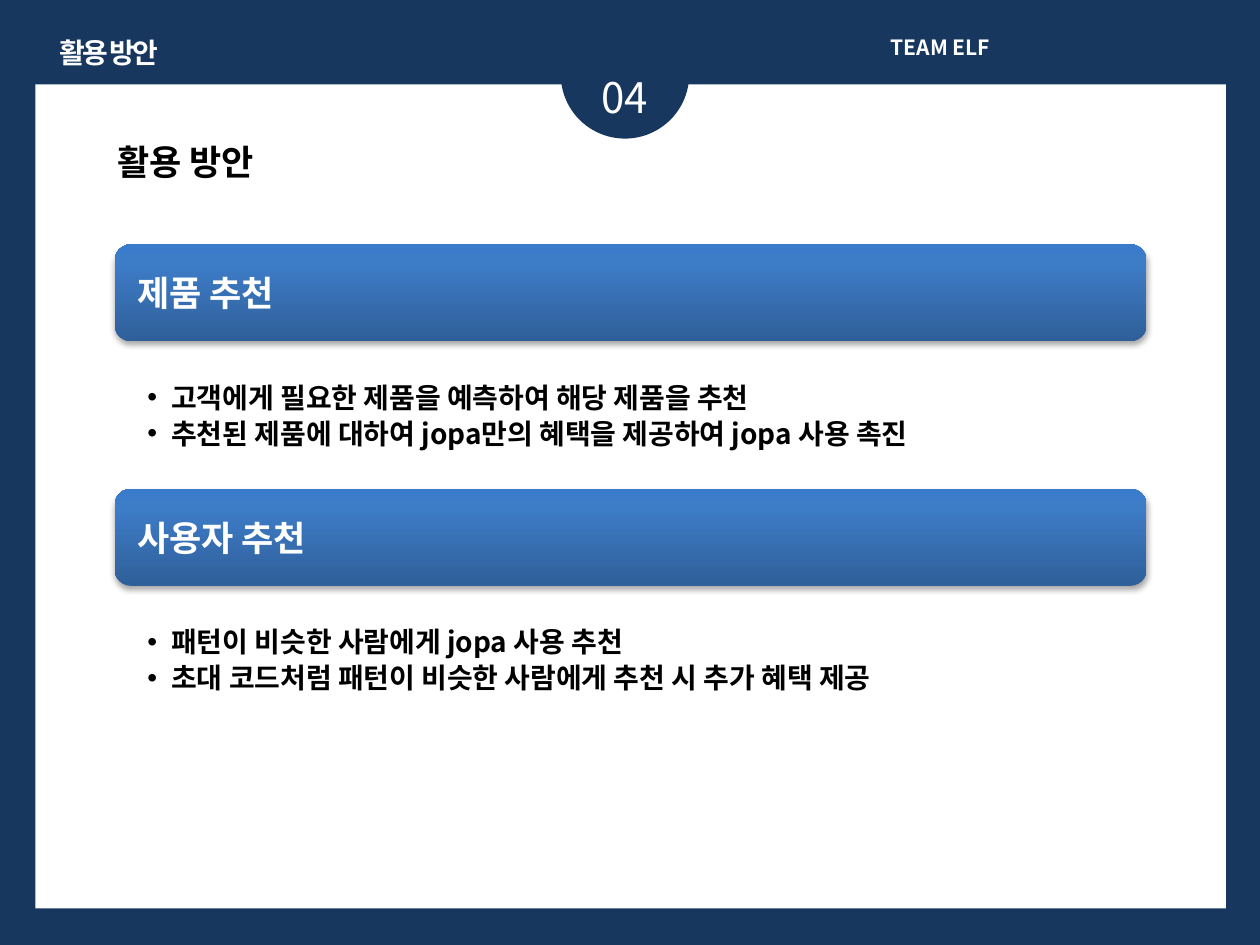
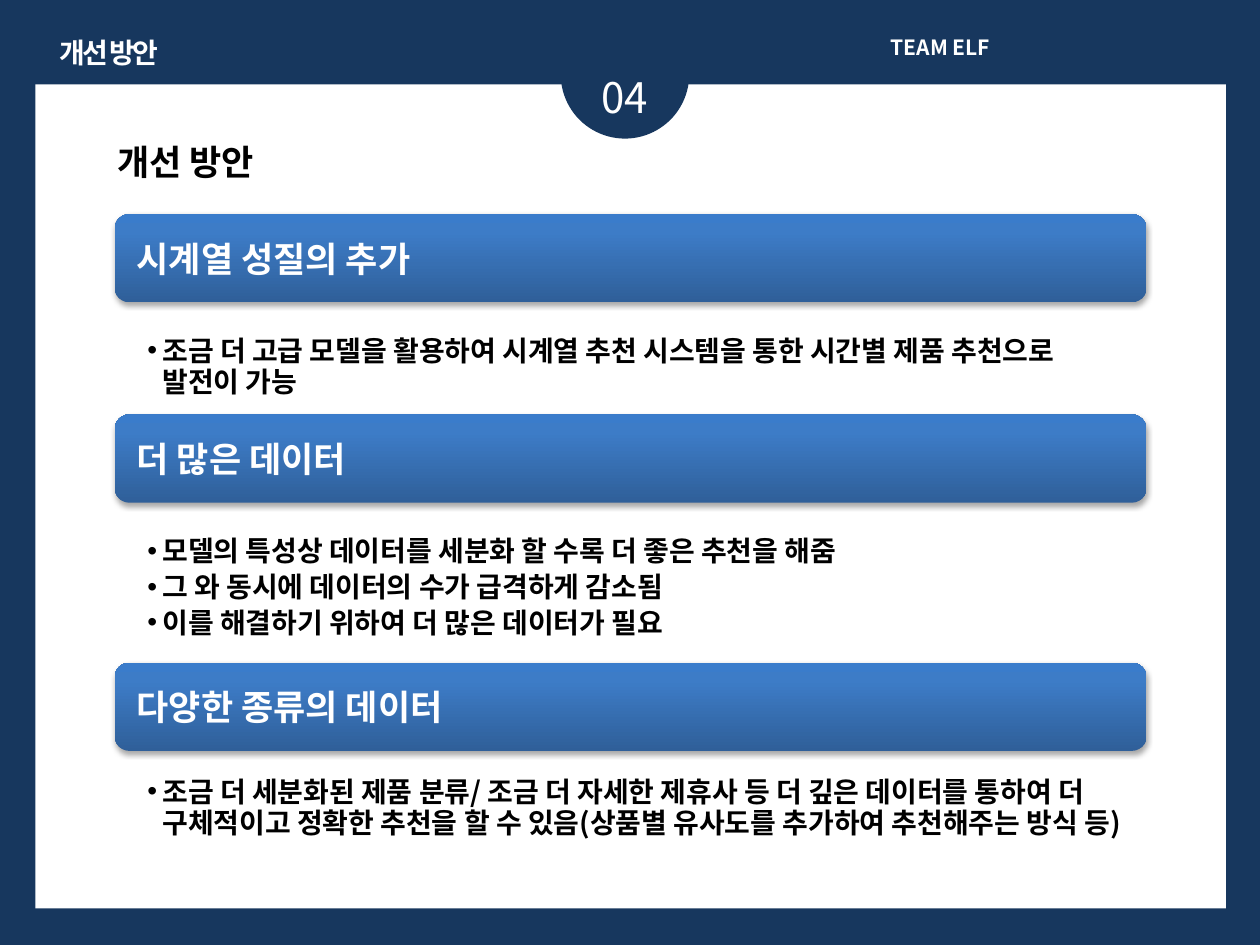
from dataclasses import dataclass

from pptx import Presentation
from pptx.dml.color import RGBColor
from pptx.enum.shapes import MSO_SHAPE as Preset
from pptx.enum.text import MSO_ANCHOR as Anchor, MSO_AUTO_SIZE as AutoSize, PP_ALIGN as Align
from pptx.oxml import parse_xml
from pptx.oxml.ns import nsdecls, qn
from pptx.util import Inches, Pt

GRID = 0.25  # one column or row, in inches
COLUMNS, ROWS = 40, 30
COMPARISON_LAYOUT = 4


@dataclass(frozen=True)
class Theme:
    font: str = "Noto Sans CJK KR"
    navy: str = "17375E"
    white: str = "FFFFFF"
    black: str = "000000"
    banner_stops: tuple = ((0, "2F5F99"), (80, "3D7CC7"), (100, "3A7CCB"))
    team_size: float = 12
    text_size: float = 16
    heading_size: float = 20
    number_size: float = 24
    line_height: float = 17.5
    point_gap: float = 3


@dataclass(frozen=True)
class Box:
    """A rectangle measured in grid columns and rows."""
    left: float
    top: float
    width: float
    height: float

    def inner(self, left, top, width, height):
        return Box(self.left + left, self.top + top, width, height)

    def lengths(self):
        return [Inches(n * GRID) for n in (self.left, self.top, self.width, self.height)]


@dataclass(frozen=True)
class Section:
    top: float
    gap: float
    depth: float
    title: str
    points: tuple


@dataclass(frozen=True)
class Topic:
    title: str
    banner_height: float
    hanging: float
    sections: tuple


THEME = Theme()
PAGE = Box(0, 0, COLUMNS, ROWS)

TOPICS = (
    Topic("활용 방안", 3.08, 0.19, (
        Section(7.76, 1.25, 2.6, "제품 추천", (
            "고객에게 필요한 제품을 예측하여 해당 제품을 추천",
            "추천된 제품에 대하여 jopa만의 혜택을 제공하여 jopa 사용 촉진",
        )),
        Section(15.52, 1.25, 2.6, "사용자 추천", (
            "패턴이 비슷한 사람에게 jopa 사용 추천",
            "초대 코드처럼 패턴이 비슷한 사람에게 추천 시 추가 혜택 제공",
        )),
    )),
    Topic("개선 방안", 2.8, 0.12, (
        Section(6.8, 1, 2.2, "시계열 성질의 추가", (
            "조금 더 고급 모델을 활용하여 시계열 추천 시스템을 통한 시간별 제품 추천으로 발전이 가능",
        )),
        Section(13.16, 1, 4, "더 많은 데이터", (
            "모델의 특성상 데이터를 세분화 할 수록 더 좋은 추천을 해줌",
            "그 와 동시에 데이터의 수가 급격하게 감소됨",
            "이를 해결하기 위하여 더 많은 데이터가 필요",
        )),
        Section(21.04, 0.76, 3.08, "다양한 종류의 데이터", (
            "조금 더 세분화된 제품 분류/ 조금 더 자세한 제휴사 등 더 깊은 데이터를 통하여 더 "
            "구체적이고 정확한 추천을 할 수 있음(상품별 유사도를 추가하여 추천해주는 방식 등)",
        )),
    )),
)


# Text helpers
def format_para(para, size, color, bold=True, align=Align.LEFT, tracking=0):
    para.alignment = align
    for span in para.runs:
        span.font.size = Pt(size)
        span.font.bold = bold
        span.font.color.rgb = RGBColor.from_string(color)
        span.font.name = THEME.font
        properties = span._r.get_or_add_rPr()
        properties.append(parse_xml(f'<a:ea {nsdecls("a")} typeface="{THEME.font}"/>'))
        if tracking:
            properties.set("spc", str(int(tracking * 100)))


def set_frame(shape, anchor, margins=(0.1, 0.05, 0.1, 0.05)):
    frame = shape.text_frame
    frame.word_wrap = True
    frame.auto_size = AutoSize.NONE
    frame.vertical_anchor = anchor
    (frame.margin_left, frame.margin_top,
     frame.margin_right, frame.margin_bottom) = map(Inches, margins)
    return frame


def add_label(page, box, text, size, **style):
    label = page.shapes.add_textbox(*box.lengths())
    set_frame(label, Anchor.MIDDLE).text = text
    format_para(label.text_frame.paragraphs[0], size, THEME.white, **style)


def add_plain(page, preset, box, color):
    shape = page.shapes.add_shape(preset, *box.lengths())
    shape.shadow.inherit = False
    shape.fill.solid()
    shape.fill.fore_color.rgb = RGBColor.from_string(color)
    shape.line.fill.background()
    return shape


def place_in_front(placeholder, box):
    (placeholder.left, placeholder.top,
     placeholder.width, placeholder.height) = box.lengths()
    tree = placeholder.element.getparent()
    tree.append(placeholder.element)


# Frame shared by the slides: panel, number disc and header labels
def draw_frame(page, box, title):
    add_plain(page, Preset.RECTANGLE, box.inner(1.12, 2.68, 37.8, 26.16), THEME.white)
    add_plain(page, Preset.OVAL, box.inner(17.8, 0.32, 4.08, 4.08), THEME.navy)
    add_label(page, box.inner(27.88, 0.92, 11.04, 1.16), "TEAM ELF",
              THEME.team_size, align=Align.JUSTIFY)
    add_label(page, box.inner(17.48, 2.08, 4.72, 2), "04",
              THEME.number_size, bold=False, align=Align.CENTER)
    add_label(page, box.inner(0.16, 0.92, 6.6, 1.48), title,
              THEME.text_size, align=Align.CENTER, tracking=-1.5)


def fill_heading(heading, box, title):
    place_in_front(heading, box)
    set_frame(heading, Anchor.MIDDLE).text = title
    format_para(heading.text_frame.paragraphs[0], THEME.heading_size, THEME.black)


# Section: gradient banner above a bulleted list
def draw_banner(page, box, title):
    banner = add_plain(page, Preset.ROUNDED_RECTANGLE, box, THEME.navy)
    banner.adjustments[0] = 0.167
    stops = "".join(
        f'<a:gs pos="{share * 1000}"><a:srgbClr val="{color}"/></a:gs>'
        for share, color in THEME.banner_stops)
    properties = banner.element.spPr
    properties.replace(properties.find(qn("a:solidFill")), parse_xml(
        f'<a:gradFill {nsdecls("a")} rotWithShape="1"><a:gsLst>{stops}</a:gsLst>'
        '<a:lin ang="16200000" scaled="0"/></a:gradFill>'))
    properties.find(qn("a:effectLst")).append(parse_xml(
        f'<a:outerShdw {nsdecls("a")} blurRad="{Pt(3.1)}" dist="{Pt(1.8)}" dir="5400000" '
        f'rotWithShape="0"><a:srgbClr val="{THEME.black}"><a:alpha val="35000"/>'
        '</a:srgbClr></a:outerShdw>'))
    set_frame(banner, Anchor.MIDDLE, (0.14, 0.04, 0.08, 0.04)).text = title
    format_para(banner.text_frame.paragraphs[0], THEME.heading_size, THEME.white)


def fill_points(body, box, points, hanging):
    place_in_front(body, box)
    frame = set_frame(body, Anchor.TOP, (0.26, 0.02, 0.13, 0.02))
    frame.text = "\n".join(points)
    for para in frame.paragraphs:
        format_para(para, THEME.text_size, THEME.black)
        para.line_spacing = Pt(THEME.line_height)
        para.space_before = Pt(0)
        para.space_after = Pt(THEME.point_gap)
        properties = para._p.get_or_add_pPr()
        properties.set("marL", str(Inches(hanging)))
        properties.set("indent", str(-Inches(hanging)))
        properties.append(parse_xml(f'<a:buFont {nsdecls("a")} typeface="Arial"/>'))
        properties.append(parse_xml(f'<a:buChar {nsdecls("a")} char="•"/>'))


def draw_section(page, body, box, section, topic):
    banner_height = topic.banner_height
    draw_banner(page, box.inner(0, 0, box.width, banner_height), section.title)
    body_box = box.inner(0, banner_height + section.gap, box.width, section.depth)
    fill_points(body, body_box, section.points, topic.hanging)


def build_topic(deck, topic):
    page = deck.slides.add_slide(deck.slide_layouts[COMPARISON_LAYOUT])
    heading, *bodies = list(page.placeholders)
    draw_frame(page, PAGE, topic.title)
    fill_heading(heading, PAGE.inner(3.32, 4.28, 20.16, 1.72), topic.title)
    for body, section in zip(bodies, topic.sections):
        height = topic.banner_height + section.gap + section.depth
        draw_section(page, body, PAGE.inner(3.64, section.top, 32.76, height), section, topic)
    for unused in bodies[len(topic.sections):]:
        unused.element.getparent().remove(unused.element)


def main():
    deck = Presentation()
    deck.slide_width = Inches(COLUMNS * GRID)
    deck.slide_height = Inches(ROWS * GRID)
    backdrop = deck.slide_master.background.fill
    backdrop.solid()
    backdrop.fore_color.rgb = RGBColor.from_string(THEME.navy)
    for topic in TOPICS:
        build_topic(deck, topic)
    deck.save("out.pptx")


if __name__ == "__main__":
    main()
